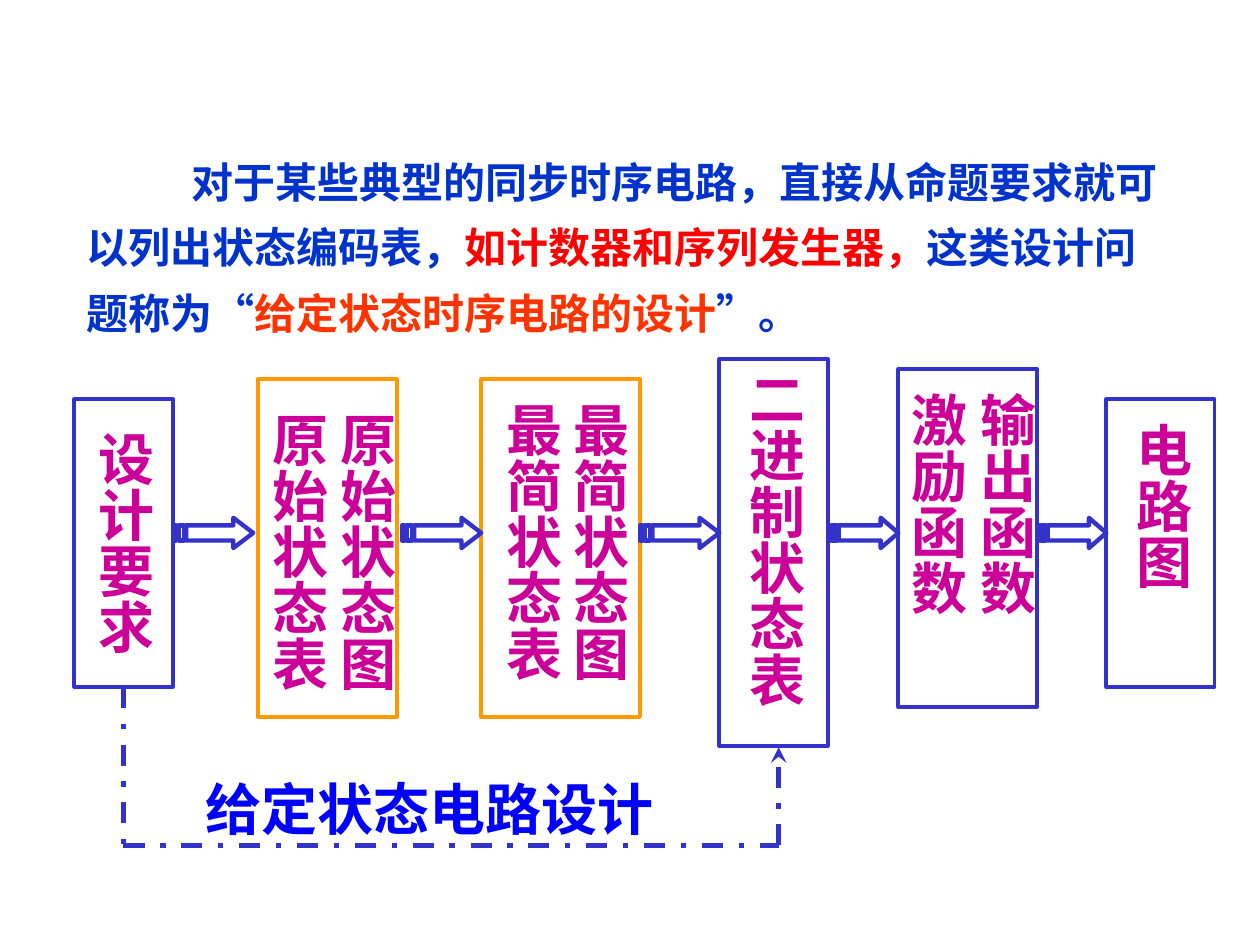
from lxml.etree import SubElement
from pptx import Presentation
from pptx.dml.color import RGBColor
from pptx.enum.dml import MSO_LINE
from pptx.enum.lang import MSO_LANGUAGE_ID
from pptx.enum.shapes import MSO_CONNECTOR, MSO_SHAPE
from pptx.enum.text import MSO_ANCHOR, MSO_AUTO_SIZE, PP_ALIGN
from pptx.oxml.ns import qn
from pptx.util import Inches, Pt

COLORS = {
    "paper": "FFFFFF", "frame": "3333CC", "highlight": "FF9900",
    "step": "CC0099", "caption": "0000FF", "body": "0033CC",
    "example": "FF0000", "term": "FF3300",
}
FONT = "Times New Roman"

# Frame colour, frame area, text area, text columns (right to left), line spacing
STEPS = [
    ("frame", (5.9, 31.7, 7.8, 22.8), (6.2, 33.2, 7.3, 20.5), ["设计要求"], None),
    ("highlight", (20.5, 30.1, 11, 26.8), (20.1, 31.7, 12.6, 24.4),
     ["原始状态图原始状态表"], None),
    ("highlight", (38.2, 30.1, 12.6, 26.8), (38.6, 30.9, 12.6, 24.4),
     ["最简状态图最简状态表"], None),
    ("frame", (57.1, 28.5, 8.6, 30.7), (57.9, 28.5, 7.3, 29.3), ["二进制状态表"], None),
    ("frame", (71.3, 29.3, 11, 26.8), (72.4, 30.1, 7.5, 24.4),
     ["输出函数", "激励函数"], 0.5),
    ("frame", (87.8, 31.7, 8.6, 22.8), (88.6, 32.5, 7.3, 21.3), ["电路图"], None),
]
# Left edge and width of each arrow between two steps
ARROWS = [(13.8, 6.3), (31.9, 6.3), (50.8, 6.3), (65.7, 5.6), (82.3, 5.5)]
ARROW_MIDDLE, ARROW_HEIGHT = 42.3, 2.4


def grid(*cells):
    """Lengths on a grid of 100 columns and 75 rows."""
    return [Inches(cell / 10) for cell in cells]


def rgb(name):
    return RGBColor.from_string(COLORS[name])


def style_outline(shape, color, width):
    shape.shadow.inherit = False
    shape.fill.solid()
    shape.fill.fore_color.rgb = rgb("paper")
    shape.line.color.rgb = rgb(color)
    shape.line.width = Pt(width)


def add_text(slide, area, paragraphs, size=32, color="step", align=PP_ALIGN.LEFT,
             anchor=MSO_ANCHOR.TOP, vertical=False, grow=True, spacing=None,
             between=0, indent=0, insets=(1, 0.5)):
    """Each paragraph is a list of (text, colour or None) runs."""
    box = slide.shapes.add_textbox(*grid(*area))
    frame = box.text_frame
    frame.word_wrap = True
    frame.auto_size = MSO_AUTO_SIZE.SHAPE_TO_FIT_TEXT if grow else MSO_AUTO_SIZE.NONE
    frame.vertical_anchor = anchor
    frame.margin_left = frame.margin_right = grid(insets[0])[0]
    frame.margin_top = frame.margin_bottom = grid(insets[1])[0]
    if vertical:
        box.element.txBody.find(qn("a:bodyPr")).set("vert", "eaVert")
    for number, runs in enumerate(paragraphs):
        paragraph = frame.add_paragraph() if number else frame.paragraphs[0]
        paragraph.alignment = align
        if spacing:
            paragraph.line_spacing = spacing
        if number:
            paragraph.space_before = Pt(between)
        if indent:
            paragraph._p.get_or_add_pPr().set("indent", str(grid(indent)[0]))
        for text, run_color in runs:
            run = paragraph.add_run()
            run.text = text
            run.font.name = FONT
            run.font.size = Pt(size)
            run.font.bold = True
            run.font.language_id = MSO_LANGUAGE_ID.SIMPLIFIED_CHINESE
            run.font.color.rgb = rgb(run_color or color)


def add_step(slide, color, frame_area, text_area, columns, spacing):
    frame = slide.shapes.add_shape(MSO_SHAPE.RECTANGLE, *grid(*frame_area))
    style_outline(frame, color, 2.25)
    add_text(slide, text_area, [[(column, None)] for column in columns],
             align=PP_ALIGN.CENTER, anchor=MSO_ANCHOR.MIDDLE, vertical=True,
             grow=len(columns) == 1, spacing=spacing, between=20, insets=(0.5, 1))


def add_striped_arrow(slide, left, width):
    """A right arrow whose tail has two stripes, drawn in 32nds of its width."""
    half, quarter = ARROW_HEIGHT / 2, ARROW_HEIGHT / 4
    contours = [
        [(5, -quarter), (24, -quarter), (24, -half), (32, 0),
         (24, half), (24, quarter), (5, quarter)],
    ] + [
        [(start, -quarter), (end, -quarter), (end, quarter), (start, quarter)]
        for start, end in ((0, 1), (2, 4))
    ]
    builder = None
    for contour in contours:
        first, *rest = [grid(left + width * part / 32, ARROW_MIDDLE + rise)
                        for part, rise in contour]
        if builder is None:
            builder = slide.shapes.build_freeform(*first)
        else:
            builder.move_to(*first)
        builder.add_line_segments(rest, close=True)
    style_outline(builder.convert_to_shape(), "frame", 2.5)


def add_dashed_line(slide, start, end, arrowhead=False):
    line = slide.shapes.add_connector(MSO_CONNECTOR.STRAIGHT, *grid(*start, *end))
    line.line.color.rgb = rgb("frame")
    line.line.width = Pt(3)
    line.line.dash_style = MSO_LINE.DASH_DOT
    properties = line.element.spPr
    if arrowhead:
        SubElement(properties.find(qn("a:ln")), qn("a:tailEnd"), type="stealth")
    SubElement(properties, qn("a:effectLst"))


def main():
    deck = Presentation()
    deck.slide_width, deck.slide_height = grid(100, 75)
    slide = deck.slides.add_slide(deck.slide_layouts[6])

    # Design steps and the arrows between them
    for step in STEPS:
        add_step(slide, *step)
    for arrow in ARROWS:
        add_striped_arrow(slide, *arrow)

    # Shortcut from the requirements to the binary state table
    route = [(9.8, 54.5), (9.8, 67.1), (61.8, 67.1), (61.8, 59.3)]
    for start, end in zip(route, route[1:]):
        add_dashed_line(slide, start, end, arrowhead=end == route[-1])
    add_text(slide, (15.3, 61.6, 39.4, 5.8), [[("给定状态电路设计", None)]],
             color="caption", spacing=0.9)

    # Introduction
    introduction = [
        ("对于某些典型的同步时序电路，直接从命题要求就可以列出状态编码表，", None),
        ("如计数器和序列发生器，", "example"),
        ("这类设计问题称为“", None),
        ("给定状态时序电路的设计", "term"),
        ("”。", None),
    ]
    add_text(slide, (5.9, 10.7, 88.2, 16.6), [introduction], size=24,
             color="body", spacing=1.3, indent=8.3)

    deck.save("out.pptx")


if __name__ == "__main__":
    main()
